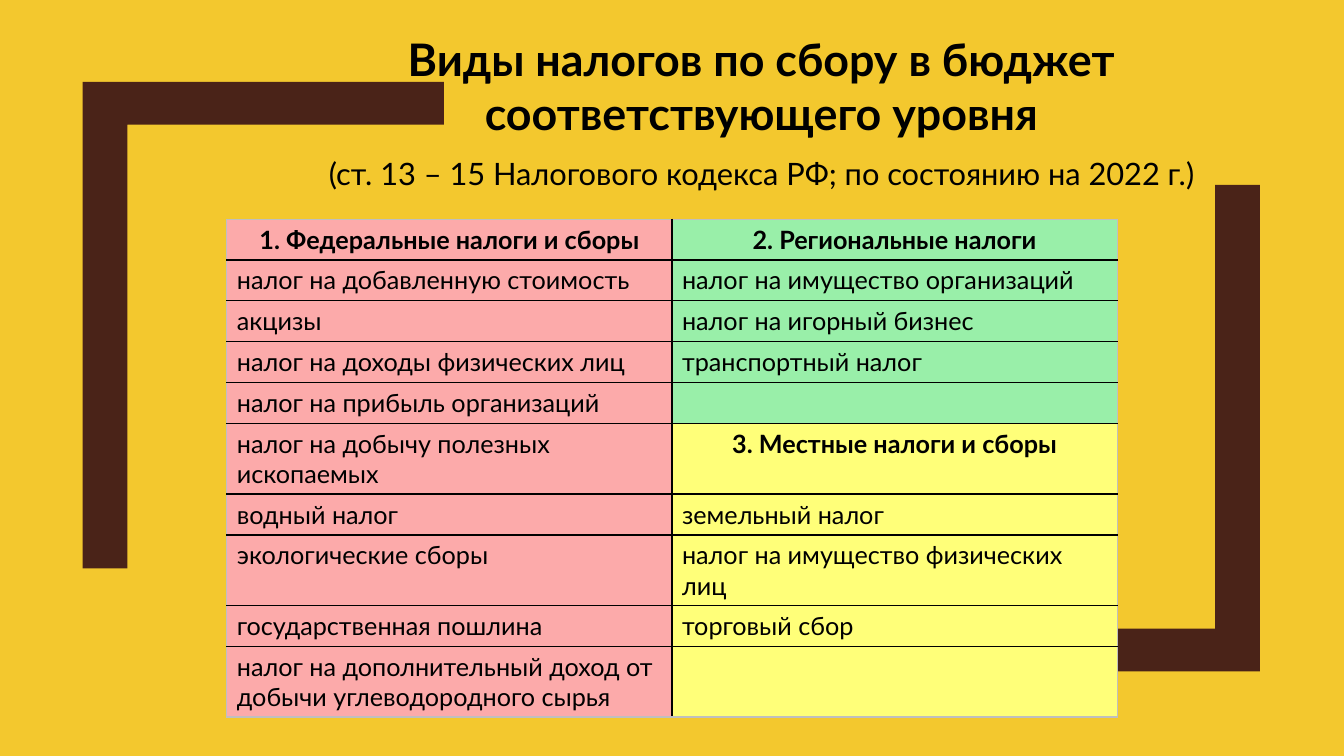
from lxml.etree import SubElement
from pptx import Presentation
from pptx.dml.color import RGBColor
from pptx.enum.text import MSO_ANCHOR, MSO_AUTO_SIZE, PP_ALIGN
from pptx.oxml.ns import qn
from pptx.util import Pt

FONT = "Lato"
COLOURS = {
    "background": "F3C82E", "bracket": "4A2318", "text": "000000",
    "grid": "000000", "edge": "BFBFBF",
    "federal": "FCAAAA", "regional": "99EFA9", "local": "FFFF79",
}
HEADING = [
    ("Виды налогов по сбору в бюджет соответствующего уровня", 32, True, 0),
    ("(ст. 13 – 15 Налогового кодекса РФ; по состоянию на 2022 г.)", 22, False, 11),
]
FEDERAL = [
    "1. Федеральные налоги и сборы",
    "налог на добавленную стоимость",
    "акцизы",
    "налог на доходы физических лиц",
    "налог на прибыль организаций",
    "налог на добычу полезных ископаемых",
    "водный налог",
    "экологические сборы",
    "государственная пошлина",
    "налог на дополнительный доход от добычи углеводородного сырья",
]
REGIONAL = [
    "2. Региональные налоги",
    "налог на имущество организаций",
    "налог на игорный бизнес",
    "транспортный налог",
    "",
]
LOCAL = [
    "3. Местные налоги и сборы",
    "земельный налог",
    "налог на имущество физических лиц",
    "торговый сбор",
    "",
]
COLUMNS = [[("federal", FEDERAL)], [("regional", REGIONAL), ("local", LOCAL)]]
TABLE_LEFT, TABLE_TOP = 162, 156.5
COLUMN_WIDTH, ROW_HEIGHT = 318, 29.2
BRACKETS = [((900, 479.5), -1), ((59, 58.5), 1)]
BRACKET_WIDTH, BRACKET_HEIGHT = 258, 347.5
POST, BEAM = 32, 30.5


def colour(name):
    return RGBColor.from_string(COLOURS[name])


def style(para, size, bold):
    for span in para.runs:
        span.font.name = FONT
        span.font.size = Pt(size)
        span.font.bold = bold
        span.font.color.rgb = colour("text")


def add_bracket(page, corner, direction):
    outline = [(0, 0), (BRACKET_WIDTH, 0), (BRACKET_WIDTH, BEAM),
               (POST, BEAM), (POST, BRACKET_HEIGHT), (0, BRACKET_HEIGHT)]
    points = [(Pt(corner[0] + direction * x), Pt(corner[1] + direction * y))
              for x, y in outline]
    builder = page.shapes.build_freeform(*points[0])
    builder.add_line_segments(points[1:], close=True)
    bracket = builder.convert_to_shape()
    bracket.shadow.inherit = False
    bracket.fill.solid()
    bracket.fill.fore_color.rgb = colour("bracket")
    bracket.line.fill.background()


def fill_heading(box):
    box.left, box.top, box.width, box.height = Pt(208), Pt(19), Pt(672), Pt(124.5)
    frame = box.text_frame
    frame.text = "\n".join(text for text, *_ in HEADING)
    frame.word_wrap = True
    frame.auto_size = MSO_AUTO_SIZE.NONE
    frame.vertical_anchor = MSO_ANCHOR.TOP
    for para, (_, size, bold, gap) in zip(frame.paragraphs, HEADING):
        para.alignment = PP_ALIGN.CENTER
        para.space_before = Pt(gap)
        style(para, size, bold)


def add_borders(cell, outer_sides):
    properties = cell._tc.get_or_add_tcPr()
    for place, side in enumerate(("lnL", "lnR", "lnT", "lnB")):
        line = SubElement(properties, qn("a:" + side), w=str(Pt(1)))
        solid = SubElement(line, qn("a:solidFill"))
        name = "edge" if side in outer_sides else "grid"
        SubElement(solid, qn("a:srgbClr"), val=COLOURS[name])
        properties.insert(place, line)


def add_tax_table(page):
    row_count, column_count = len(FEDERAL), len(COLUMNS)
    table = page.shapes.add_table(
        row_count, column_count, Pt(TABLE_LEFT), Pt(TABLE_TOP),
        Pt(COLUMN_WIDTH * column_count), Pt(ROW_HEIGHT * row_count)).table
    table.first_row = table.horz_banding = False
    for column, groups in enumerate(COLUMNS):
        entries = [(kind, text, place == 0)
                   for kind, taxes in groups for place, text in enumerate(taxes)]
        for row, (kind, text, is_header) in enumerate(entries):
            cell = table.cell(row, column)
            cell.fill.solid()
            cell.fill.fore_color.rgb = colour(kind)
            cell.text_frame.text = text
            para = cell.text_frame.paragraphs[0]
            para.alignment = PP_ALIGN.CENTER if is_header else PP_ALIGN.LEFT
            style(para, 18, is_header)
            edges = {"lnL": column == 0, "lnR": column == column_count - 1,
                     "lnT": row == 0, "lnB": row == row_count - 1}
            add_borders(cell, [side for side, outer in edges.items() if outer])


def main():
    deck = Presentation()
    deck.slide_width, deck.slide_height = Pt(960), Pt(540)
    page = deck.slides.add_slide(deck.slide_layouts[5])
    page.background.fill.solid()
    page.background.fill.fore_color.rgb = colour("background")
    heading = page.shapes.title
    for corner, direction in BRACKETS:
        add_bracket(page, corner, direction)
    page.shapes._spTree.append(heading._element)
    fill_heading(heading)
    add_tax_table(page)
    deck.save("out.pptx")


if __name__ == "__main__":
    main()
